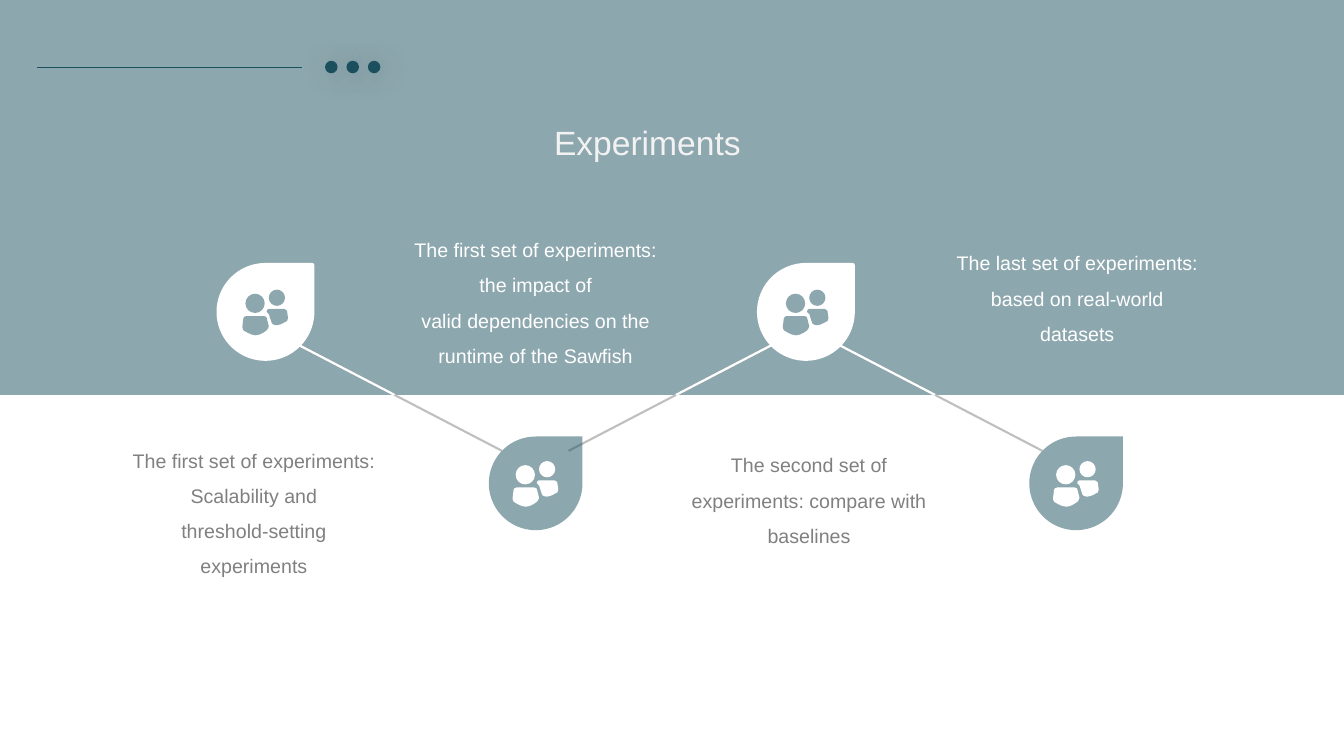
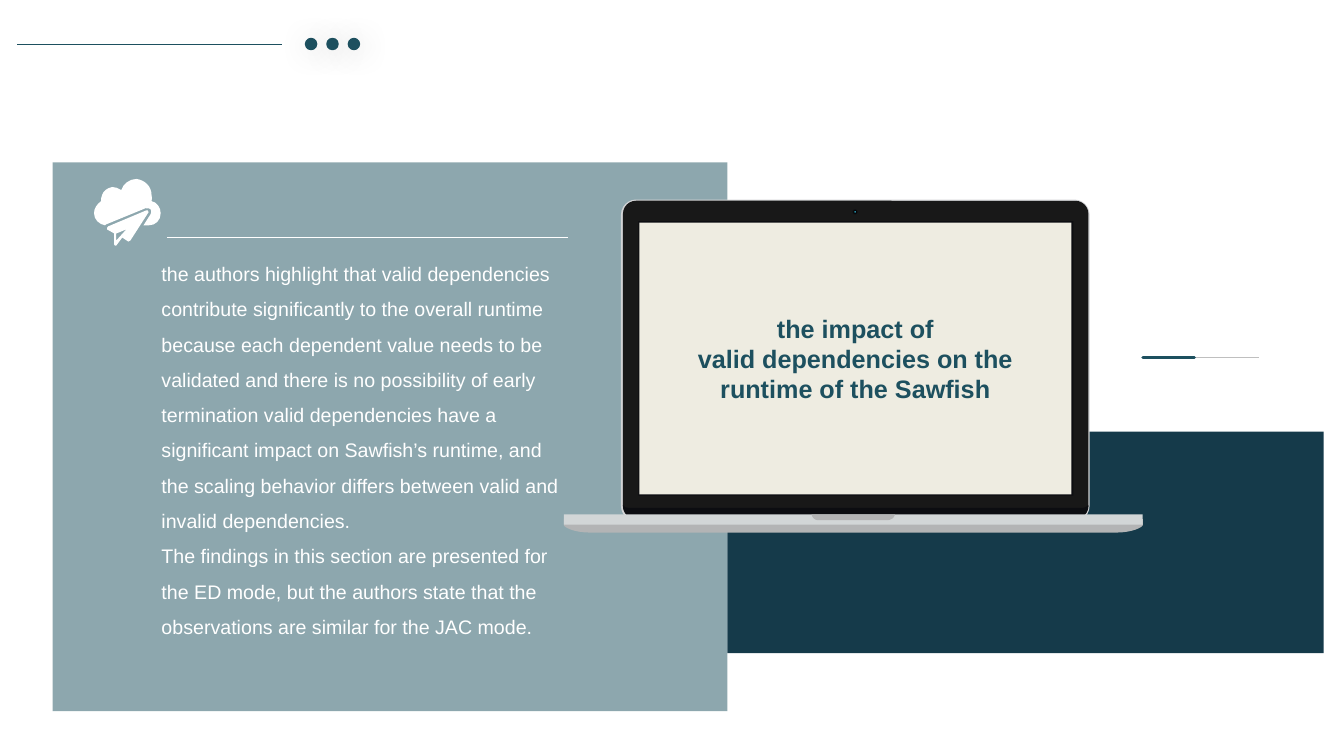
"""Build two slides on the experiments: an overview and the first finding."""
import lxml.etree
import pptx
import pptx.dml.color
import pptx.enum.shapes
import pptx.enum.text
import pptx.oxml.ns
import pptx.util

Cm = pptx.util.Cm
Pt = pptx.util.Pt
RGB = pptx.dml.color.RGBColor
qn = pptx.oxml.ns.qn
SHAPE = pptx.enum.shapes.MSO_SHAPE
ALIGN = pptx.enum.text.PP_ALIGN
ANCHOR = pptx.enum.text.MSO_ANCHOR

FONT = "Arial"
WIDTH, HEIGHT = 33.87, 19.05
TEAL = RGB(0x1D, 0x50, 0x5F)
NAVY = RGB(0x15, 0x3A, 0x4A)
WHITE = RGB(0xFF, 0xFF, 0xFF)
OFF_WHITE = RGB(0xF2, 0xF2, 0xF2)
GREY = RGB(0x80, 0x80, 0x80)
LIGHT_GREY = RGB(0xBF, 0xBF, 0xBF)
SCREEN = RGB(0xEE, 0xEC, 0xE1)
LID_EDGE = RGB(0xD2, 0xD3, 0xD5)
LID = RGB(0x18, 0x18, 0x18)
BEZEL = RGB(0x0C, 0x0D, 0x11)
DECK = RGB(0xD2, 0xD6, 0xD7)
BASE = RGB(0xB3, 0xB4, 0xB5)
BLACK = RGB(0x00, 0x00, 0x00)
LENS = RGB(0x2C, 0x99, 0xB4)


def circle(cx, cy, r):
    """Return a circle as a contour of four curves."""
    k = 0.55 * r
    return [(cx, cy - r),
            (cx + k, cy - r, cx + r, cy - k, cx + r, cy),
            (cx + r, cy + k, cx + k, cy + r, cx, cy + r),
            (cx - k, cy + r, cx - r, cy + k, cx - r, cy),
            (cx - r, cy - k, cx - k, cy - r, cx, cy - r)]


PEOPLE = [
    [(4, 26), (21, 26), (23, 26, 24, 27, 24, 28), (26, 36), (26, 37, 25, 39, 24, 40),
     (24, 40, 18, 45, 13, 45), (8, 45, 1, 40, 1, 40), (0, 39, 0, 37, 0, 36),
     (1, 28), (1, 27, 3, 26, 4, 26)],
    [(26, 19), (41, 19), (42, 19, 43, 20, 44, 21), (45, 28), (45, 29, 45, 30, 44, 31),
     (43, 31, 38, 35, 34, 35), (33, 35, 31, 35, 30, 34), (29, 34, 29, 34, 29, 33),
     (27, 27), (27, 25, 26, 24, 25, 23), (24, 23, 24, 22, 24, 22), (24, 21),
     (24, 20, 25, 19, 26, 19)],
    circle(12.5, 13.5, 9.5),
    circle(34, 8, 8),
]
CLOUD_PLANE = [
    [(32, 50), (22, 54), (22, 61)],
    [(52, 31), (53, 31, 54, 31, 54, 33), (36, 61), (35, 62, 35, 62, 34, 62), (28, 58),
     (22, 66), (21, 66, 20, 66, 20, 65), (20, 54), (13, 50), (13, 49, 13, 47, 14, 47)],
    [(42, 0), (50, 1, 57, 7, 57, 16), (58, 18, 57, 20, 57, 22), (62, 23, 66, 28, 66, 34),
     (66, 41, 61, 46, 54, 46), (49, 46), (56, 35), (57, 33, 57, 32, 56, 30),
     (55, 29, 54, 29, 51, 29), (12, 45), (12, 45, 12, 45, 11, 46), (5, 45, 0, 40, 0, 34),
     (0, 29, 3, 25, 7, 22), (7, 20, 7, 18, 8, 16), (9, 12, 13, 9, 18, 8),
     (21, 8, 24, 9, 27, 11), (29, 5, 35, 0, 42, 0)],
]


def paint(sp, color, alpha=None, line=None, width=1):
    """Give a shape a flat fill, an optional outline and no shadow."""
    sp.shadow.inherit = False
    sp.fill.solid()
    sp.fill.fore_color.rgb = color
    if alpha:
        clr = sp.element.spPr.find(".//" + qn("a:srgbClr"))
        lxml.etree.SubElement(clr, qn("a:alpha"), val=str(alpha * 1000))
    if line is None:
        sp.line.fill.background()
    else:
        sp.line.color.rgb = line
        sp.line.width = Pt(width)
    return sp


def add_shape(s, kind, x, y, w, h, color, radius=None, **style):
    """Add a painted preset shape."""
    sp = s.shapes.add_shape(kind, Cm(x), Cm(y), Cm(w), Cm(h))
    if radius is not None:
        sp.adjustments[0] = radius / min(w, h)
    return paint(sp, color, **style)


def add_line(s, x1, y1, x2, y2, color, width, cap="flat"):
    """Add a straight line without a shadow."""
    c = s.shapes.add_connector(pptx.enum.shapes.MSO_CONNECTOR.STRAIGHT,
                               Cm(x1), Cm(y1), Cm(x2), Cm(y2))
    c.line.color.rgb = color
    c.line.width = Pt(width)
    c.element.spPr.find(qn("a:ln")).set("cap", cap)
    lxml.etree.SubElement(c.element.spPr, qn("a:effectLst"))


def bend(segment, controls):
    """Turn a line segment of a freeform into a cubic curve."""
    segment.tag = qn("a:cubicBezTo")
    for i, (x, y) in enumerate(controls):
        point = lxml.etree.Element(qn("a:pt"), x=str(x), y=str(y))
        segment.insert(i, point)


def add_outline(s, contours, color, x=0, y=0, unit=1, alpha=None):
    """Add a freeform from contours of points and cubic curves."""
    placed = [[[(Cm(x + item[i] * unit), Cm(y + item[i + 1] * unit))
                for i in range(0, len(item), 2)] for item in contour]
              for contour in contours]
    builder = s.shapes.build_freeform(*placed[0][0][-1])
    for i, contour in enumerate(placed):
        if i:
            builder.move_to(*contour[0][-1])
        builder.add_line_segments([item[-1] for item in contour[1:]], close=False)
        if contour[-1][-1] != contour[0][-1]:
            builder.add_line_segments([contour[0][-1]], close=False)
            contour.append([contour[0][-1]])
    sp = builder.convert_to_shape()
    segments = list(sp.element.iter(qn("a:lnTo")))
    items = [item for contour in placed for item in contour[1:]]
    for segment, item in zip(segments, items):
        if len(item) > 1:
            bend(segment, [(px - sp.left, py - sp.top) for px, py in item[:2]])
    paint(sp, color, alpha)


def write(tf, paragraphs, size, color, align, spacing, bold=False):
    """Fill a text frame, one run per paragraph."""
    tf.word_wrap = True
    tf.auto_size = pptx.enum.text.MSO_AUTO_SIZE.NONE
    for i, text in enumerate(paragraphs):
        p = tf.add_paragraph() if i else tf.paragraphs[0]
        p.alignment = align
        p.line_spacing = spacing
        r = p.add_run()
        r.text = text
        r.font.name = FONT
        r.font.size = Pt(size)
        r.font.bold = bold
        r.font.color.rgb = color


def add_text(s, x, y, w, h, paragraphs, color, align):
    """Add a body text box."""
    sp = s.shapes.add_textbox(Cm(x), Cm(y), Cm(w), Cm(h))
    write(sp.text_frame, paragraphs, 14, color, align, 1.5)


def place_title(s, x, y, w, h, paragraphs, size, color, anchor, spacing=1.0, bold=False):
    """Place the title placeholder in front of what is drawn so far."""
    sp = s.shapes.title
    sp.left, sp.top, sp.width, sp.height = Cm(x), Cm(y), Cm(w), Cm(h)
    sp.element.getparent().append(sp.element)
    sp.text_frame.vertical_anchor = anchor
    write(sp.text_frame, paragraphs, size, color, ALIGN.CENTER, spacing, bold)
    return sp


def add_header(s, x, y):
    """Add the group of a thin line and three dots with a soft shadow."""
    group = s.shapes.add_group_shape()
    add_line(group, x, y, x + 6.67, y, TEAL, 0.5)
    for i in range(3):
        dot = add_shape(group, SHAPE.OVAL, x + 7.27 + 0.54 * i, y - 0.15, 0.28, 0.28,
                        TEAL, line=TEAL)
        effects = dot.element.spPr.find(qn("a:effectLst"))
        shadow = lxml.etree.SubElement(effects, qn("a:outerShdw"), blurRad=str(Pt(22)),
                                       dist=str(Pt(3)), dir=str(45 * 60000))
        clr = lxml.etree.SubElement(shadow, qn("a:srgbClr"), val="000000")
        lxml.etree.SubElement(clr, qn("a:alpha"), val="22000")


def add_steps(s, band_bottom):
    """Add the zigzag of teardrops with people, joined by lines."""
    lefts = [5.51 + 6.81 * i for i in range(4)]
    high, low = 8.69, 11.36
    share = (band_bottom - high) / (low - high)
    lines = []
    for i in range(3):
        ends = [lefts[i] + 2.01, lefts[i + 1] + 0.33]
        lines.append(ends[::-1] if i % 2 else ends)
    for top_x, low_x in lines:
        add_line(s, top_x, high, low_x, low, LIGHT_GREY, 1.5)
    for i, x in enumerate(lefts):
        if i % 2:
            y, drop, icon = 11, (TEAL, 50), (WHITE, None)
        else:
            y, drop, icon = 6.68, (WHITE, None), (TEAL, 50)
        add_shape(s, SHAPE.TEAR, x, y, 2.36, 2.36, drop[0], alpha=drop[1],
                  line=None if i % 2 else WHITE, width=3)
        add_outline(s, PEOPLE, icon[0], x + 0.6, y + 0.62, 1.15 / 45, icon[1])
    for top_x, low_x in lines:
        add_line(s, top_x, high, top_x + (low_x - top_x) * share, band_bottom, WHITE, 1.5)


def add_laptop(s):
    """Add a plain laptop, up to the bezel around its screen."""
    add_outline(s, [[(14.21, 13.08), (28.8, 13.08), (28.8, 13.23),
                     (28.8, 13.28, 28.55, 13.42, 28.14, 13.42), (14.86, 13.42),
                     (14.45, 13.42, 14.21, 13.28, 14.21, 13.23)]], BASE)
    add_shape(s, SHAPE.ROUNDED_RECTANGLE, 15.65, 5.03, 11.81, 8.1, LID_EDGE, 0.38)
    add_shape(s, SHAPE.ROUNDED_RECTANGLE, 15.7, 5.06, 11.73, 8.02, LID, 0.33)
    add_outline(s, [[(15.7, 12.73), (15.72, 12.78, 15.77, 12.8, 15.85, 12.8),
                     (27.28, 12.8), (27.33, 12.8, 27.38, 12.78, 27.43, 12.73),
                     (27.43, 12.93, 27.28, 13.08, 27.1, 13.08), (16.03, 13.08),
                     (15.85, 13.08, 15.7, 12.93, 15.7, 12.73)]], BEZEL)
    add_shape(s, SHAPE.RECTANGLE, 14.21, 12.96, 14.59, 0.26, DECK)
    add_outline(s, [[(20.45, 12.96), (20.47, 13.06, 20.55, 13.11, 20.62, 13.11),
                     (22.35, 13.11), (22.45, 13.11, 22.53, 13.06, 22.56, 12.96)]], BASE)
    add_shape(s, SHAPE.RECTANGLE, 16.09, 5.57, 10.96, 6.92, BEZEL)
    for size, color in ((0.13, BEZEL), (0.08, BLACK), (0.04, LENS)):
        add_shape(s, SHAPE.OVAL, 21.55 - size / 2, 5.34 - size / 2, size, size, color)


def build_overview(s):
    """Build the slide that lists the sets of experiments."""
    band_bottom = 9.95
    add_shape(s, SHAPE.FLOWCHART_PROCESS, 0, 0, WIDTH, band_bottom, TEAL, alpha=50)
    add_steps(s, band_bottom)
    add_header(s, 0.94, 1.7)
    captions = (
        (2.91, 10.88, 3.84, GREY, ["The first set of experiments: Scalability and",
                                   "threshold-setting experiments"]),
        (16.9, 11, 2.95, GREY, ["The second set of experiments: compare with",
                                "baselines"]),
        (10.01, 5.58, 3.84, WHITE, ["The first set of experiments: the impact of",
                                    "valid dependencies on the runtime of the Sawfish"]),
        (23.66, 5.91, 2.95, WHITE, ["The last set of experiments: based on real-world",
                                    "datasets"]),
    )
    for x, y, h, color, paragraphs in captions:
        add_text(s, x, y, 6.98, h, paragraphs, color, ALIGN.CENTER)
    place_title(s, 10.09, 2.44, 12.45, 1.8, ["Experiments"], 24, OFF_WHITE, ANCHOR.TOP, 1.5)


def build_finding(s):
    """Build the slide on valid dependencies."""
    add_shape(s, SHAPE.RECTANGLE, 18.33, 10.88, 15.03, 5.58, NAVY)
    add_shape(s, SHAPE.ROUNDED_RECTANGLE, 1.33, 4.09, 17, 13.83, TEAL, radius=0, alpha=50)
    add_laptop(s)
    title = place_title(s, 16.11, 5.61, 10.89, 6.85,
                        ["the impact of", "valid dependencies on the runtime of the Sawfish"],
                        18, TEAL, ANCHOR.MIDDLE, bold=True)
    title.fill.solid()
    title.fill.fore_color.rgb = SCREEN
    add_line(s, 28.8, 9, 31.72, 9, LIGHT_GREY, 0.25)
    add_line(s, 28.8, 9, 30.1, 9, TEAL, 2.25, cap="rnd")
    add_outline(s, CLOUD_PLANE, WHITE, 2.37, 4.51, 1.68 / 66)
    add_header(s, 0.43, 1.12)
    add_text(s, 3.82, 6.18, 10.9, 10.13, [
        "the authors highlight that valid dependencies contribute significantly to the "
        "overall runtime because each dependent value needs to be validated and there is "
        "no possibility of early termination valid dependencies have a significant impact "
        "on Sawfish’s runtime, and the scaling behavior differs between valid and invalid "
        "dependencies.",
        "The findings in this section are presented for the ED mode, but the authors state "
        "that the observations are similar for the JAC mode.",
    ], WHITE, ALIGN.LEFT)
    add_line(s, 4.22, 5.98, 14.32, 5.98, WHITE, 0.25)


def main():
    """Create and save the presentation."""
    prs = pptx.Presentation()
    prs.slide_width, prs.slide_height = Cm(WIDTH), Cm(HEIGHT)
    for build in (build_overview, build_finding):
        build(prs.slides.add_slide(prs.slide_layouts[5]))
    prs.save("out.pptx")


if __name__ == "__main__":
    main()
